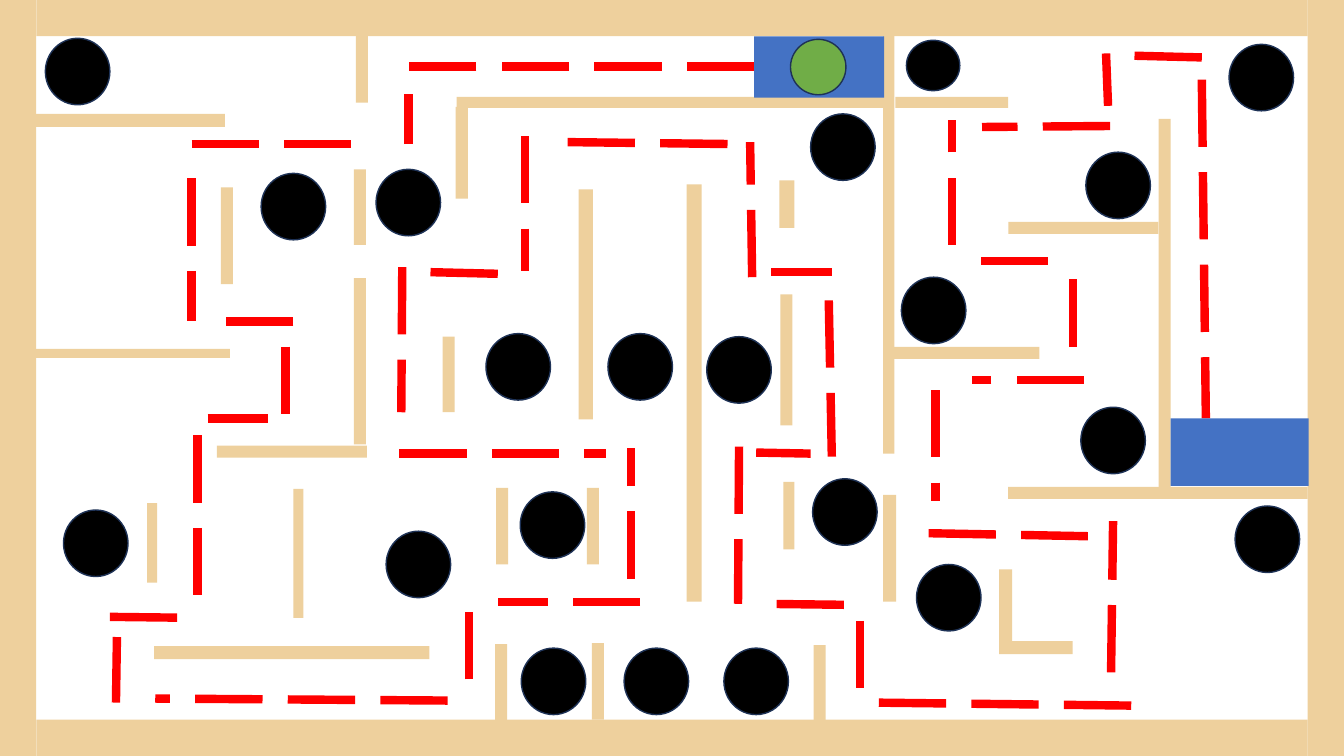
"""Draw a marble maze with walls, holes and a dashed route from start to finish."""
from typing import NamedTuple

from pptx import Presentation
from pptx.dml.color import RGBColor
from pptx.enum import dml, shapes
from pptx.oxml import parse_xml
from pptx.oxml.ns import nsdecls
from pptx.shapes.autoshape import Shape
from pptx.util import Cm, Pt

WOOD = RGBColor(0xEE, 0xD0, 0x9D)
BLACK = RGBColor(0x00, 0x00, 0x00)
RIM = RGBColor(0x1E, 0x32, 0x56)
BLUE = RGBColor(0x44, 0x72, 0xC4)
GREEN = RGBColor(0x70, 0xAD, 0x47)
RED = RGBColor(0xFF, 0x00, 0x00)

CM_PER_UNIT = 2.54
BOARD_WIDTH, BOARD_HEIGHT, FRAME = 13.33, 7.5, 0.36


class Box(NamedTuple):
    left: float
    top: float
    width: float
    height: float


class Hole(NamedTuple):
    left: float
    top: float
    width: float = 0.64
    height: float = 0.66


class Leg(NamedTuple):
    x1: float
    y1: float
    x2: float
    y2: float


FRAME_SIDES = [
    Box(0, 0, FRAME, BOARD_HEIGHT),
    Box(BOARD_WIDTH - FRAME, 0, FRAME, BOARD_HEIGHT),
    Box(FRAME, 0, BOARD_WIDTH - 2 * FRAME, FRAME),
    Box(FRAME, BOARD_HEIGHT - FRAME, BOARD_WIDTH - 2 * FRAME, FRAME),
]

HORIZONTAL_WALLS = [
    Box(0.36, 1.13, 1.87, 0.13),
    Box(0.35, 3.46, 1.93, 0.09),
    Box(2.15, 4.42, 1.49, 0.12),
    Box(1.53, 6.41, 2.73, 0.13),
    Box(4.53, 0.96, 4.23, 0.11),
    Box(8.88, 0.96, 1.12, 0.11),
    Box(10, 2.2, 1.49, 0.12),
    Box(8.82, 3.44, 1.49, 0.12),
    Box(10, 4.83, 2.97, 0.12),
    Box(9.91, 6.36, 0.73, 0.13),
]

VERTICAL_WALLS = [
    Box(1.46, 4.99, 0.1, 0.79),
    Box(2.19, 1.86, 0.12, 0.96),
    Box(2.91, 4.85, 0.1, 1.28),
    Box(3.53, 0.35, 0.12, 0.67),
    Box(3.51, 1.68, 0.12, 0.75),
    Box(3.51, 2.76, 0.12, 1.65),
    Box(4.39, 3.34, 0.12, 0.75),
    Box(4.52, 1.06, 0.12, 0.91),
    Box(4.92, 4.84, 0.12, 0.76),
    Box(4.91, 6.39, 0.12, 0.76),
    Box(5.74, 1.88, 0.14, 2.28),
    Box(5.82, 4.84, 0.12, 0.76),
    Box(5.87, 6.38, 0.12, 0.76),
    Box(6.81, 1.83, 0.15, 4.14),
    Box(7.73, 1.79, 0.15, 0.47),
    Box(7.74, 2.92, 0.12, 1.3),
    Box(7.77, 4.78, 0.11, 0.67),
    Box(8.07, 6.4, 0.12, 0.76),
    Box(8.76, 0.36, 0.11, 4.14),
    Box(8.76, 4.91, 0.13, 1.06),
    Box(9.91, 5.65, 0.13, 0.73),
    Box(11.49, 1.18, 0.12, 3.65),
]

HOLES = [
    Hole(0.45, 0.38), Hole(2.59, 1.72), Hole(3.73, 1.68), Hole(0.63, 5.06),
    Hole(3.83, 5.27), Hole(4.82, 3.31), Hole(6.03, 3.31), Hole(7.01, 3.34),
    Hole(5.16, 4.88), Hole(5.17, 6.43), Hole(6.19, 6.43), Hole(7.18, 6.43),
    Hole(8.04, 1.13), Hole(8.06, 4.75), Hole(8.99, 0.4, 0.53, 0.5),
    Hole(8.94, 2.75), Hole(9.09, 5.6), Hole(10.77, 1.51), Hole(10.72, 4.04),
    Hole(12.19, 0.44), Hole(12.25, 5.02),
]

ROUTE = [
    Leg(7.48, 0.66, 3.99, 0.66),
    Leg(4.05, 1.43, 4.05, 0.93),
    Leg(1.9, 1.43, 3.65, 1.43),
    Leg(1.9, 1.77, 1.9, 3.18),
    Leg(2.91, 3.19, 2.06, 3.19),
    Leg(2.83, 3.44, 2.83, 4.15),
    Leg(2.06, 4.15, 2.66, 4.15),
    Leg(1.96, 4.32, 1.96, 6.13),
    Leg(1.09, 6.12, 1.96, 6.13),
    Leg(1.16, 6.32, 1.15, 6.97),
    Leg(4.44, 6.95, 1.54, 6.93),
    Leg(4.65, 6.74, 4.65, 5.94),
    Leg(6.35, 5.97, 4.94, 5.97),
    Leg(6.26, 5.74, 6.26, 4.44),
    Leg(3.96, 4.5, 6.01, 4.5),
    Leg(3.99, 2.65, 3.98, 4.09),
    Leg(4.27, 2.7, 5.08, 2.72),
    Leg(5.21, 1.35, 5.21, 2.69),
    Leg(5.63, 1.41, 7.33, 1.43),
    Leg(7.46, 2.75, 7.44, 1.41),
    Leg(7.65, 2.7, 8.25, 2.7),
    Leg(8.22, 2.98, 8.25, 4.53),
    Leg(7.5, 4.49, 8.04, 4.5),
    Leg(7.33, 4.43, 7.32, 5.99),
    Leg(8.37, 6, 7.5, 5.99),
    Leg(8.53, 6.16, 8.53, 7.05),
    Leg(11.22, 7, 8.62, 6.97),
    Leg(11.02, 6.67, 11.04, 5.17),
    Leg(9.21, 5.29, 10.79, 5.32),
    Leg(9.28, 3.87, 9.28, 4.97),
    Leg(10.75, 3.77, 9.64, 3.77),
    Leg(10.64, 3.44, 10.64, 2.59),
    Leg(9.73, 2.59, 10.6, 2.59),
    Leg(9.44, 2.43, 9.44, 1.19),
    Leg(11.01, 1.25, 9.74, 1.26),
    Leg(10.99, 1.05, 10.97, 0.53),
    Leg(11.92, 0.57, 11.14, 0.55),
    Leg(11.92, 0.79, 11.96, 4.15),
]

START = Box(7.48, 0.36, 1.29, 0.61)
FINISH = Box(11.61, 4.15, 1.37, 0.67)
BALL = Hole(7.84, 0.39, 0.55, 0.55)


def scaled(values: tuple) -> list[Cm]:
    return [Cm(value * CM_PER_UNIT) for value in values]


def add_filled(slide, preset: shapes.MSO_SHAPE, place: tuple, color: RGBColor) -> Shape:
    piece = slide.shapes.add_shape(preset, *scaled(place))
    piece.shadow.inherit = False
    piece.fill.solid()
    piece.fill.fore_color.rgb = color
    piece.line.fill.background()
    return piece


def add_block(slide, box: Box, color: RGBColor) -> None:
    add_filled(slide, shapes.MSO_SHAPE.RECTANGLE, box, color)


def add_disc(slide, hole: Hole, color: RGBColor) -> None:
    disc = add_filled(slide, shapes.MSO_SHAPE.OVAL, hole, color)
    disc.line.color.rgb = RIM
    disc.line.width = Pt(1)


def add_leg(slide, leg: Leg) -> None:
    dashes = slide.shapes.add_connector(shapes.MSO_CONNECTOR.STRAIGHT, *scaled(leg))
    dashes.line.color.rgb = RED
    dashes.line.width = Pt(6)
    dashes.line.dash_style = dml.MSO_LINE.LONG_DASH
    dashes._element.spPr.append(parse_xml(f"<a:effectLst {nsdecls('a')}/>"))


def main() -> None:
    maze = Presentation()
    maze.slide_width, maze.slide_height = scaled((BOARD_WIDTH, BOARD_HEIGHT))
    board = maze.slides.add_slide(maze.slide_layouts[6])
    for wall in FRAME_SIDES + HORIZONTAL_WALLS + VERTICAL_WALLS:
        add_block(board, wall, WOOD)
    for hole in HOLES:
        add_disc(board, hole, BLACK)
    add_block(board, START, BLUE)
    for leg in ROUTE:
        add_leg(board, leg)
    add_disc(board, BALL, GREEN)
    add_block(board, FINISH, BLUE)
    maze.save("out.pptx")


if __name__ == "__main__":
    main()
